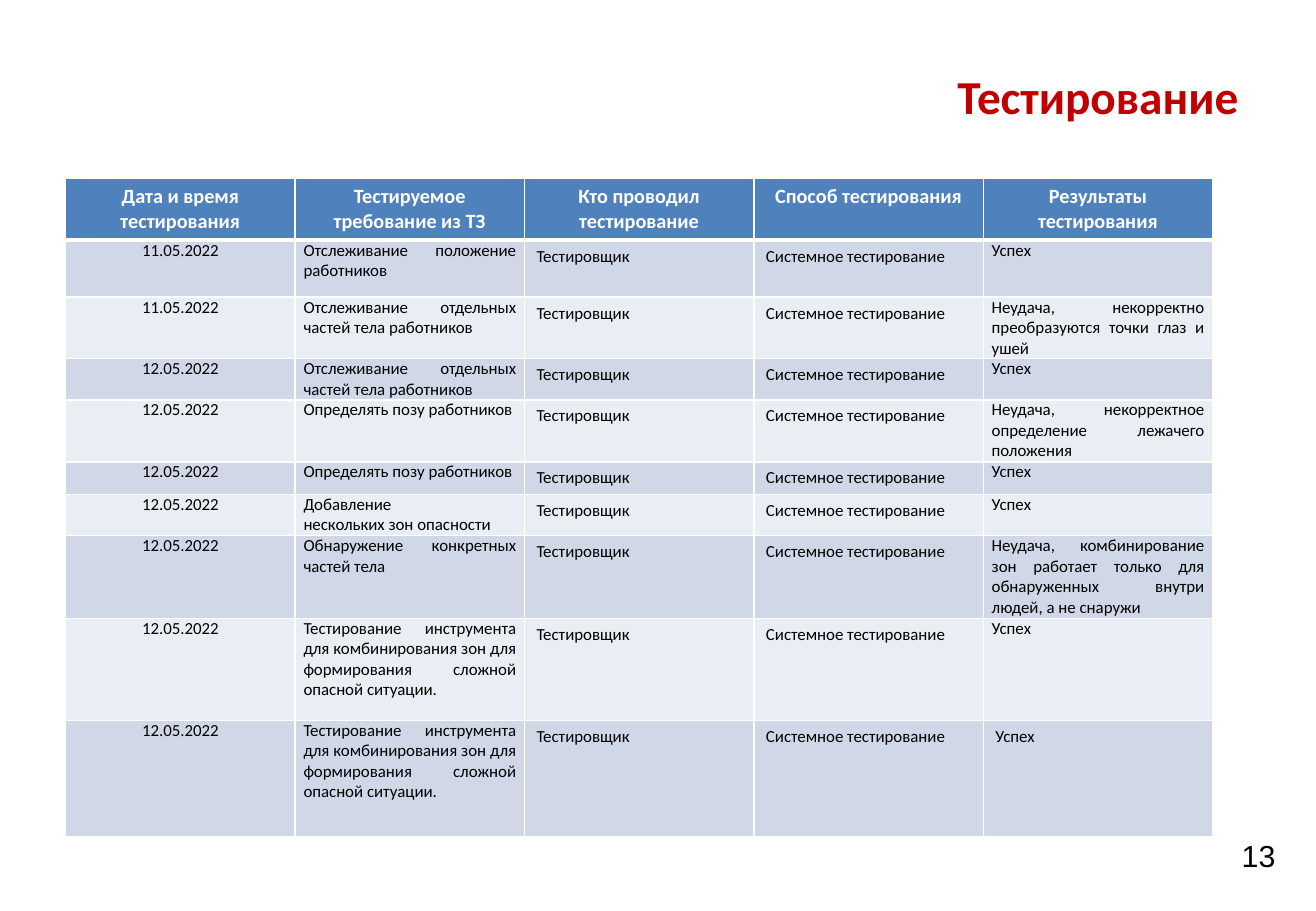
from lxml.etree import SubElement
from pptx import Presentation
from pptx.dml.color import RGBColor
from pptx.enum.text import MSO_ANCHOR, PP_ALIGN as Align
from pptx.oxml.ns import qn
from pptx.util import Inches, Pt

# Content
TITLE = "Тестирование"
PAGE_NUMBER = "13"
HEADERS = ["Дата и время тестирования", "Тестируемое требование из ТЗ",
           "Кто проводил тестирование", "Способ тестирования",
           "Результаты тестирования"]
TESTER, METHOD, SUCCESS = "Тестировщик", "Системное тестирование", "Успех"
BODY_PARTS = "Отслеживание отдельных частей тела работников"
POSE = "Определять позу работников"
ZONE_TOOL = ("Тестирование инструмента для комбинирования зон "
             "для формирования сложной опасной ситуации.")
# Date, requirement, result, row height in inches
TESTS = [
    ("11.05.2022", "Отслеживание положение работников", SUCCESS, 0.47),
    ("11.05.2022", BODY_PARTS,
     "Неудача, некорректно преобразуются точки глаз и ушей", 0.5),
    ("12.05.2022", BODY_PARTS, SUCCESS, 0.34),
    ("12.05.2022", POSE,
     "Неудача, некорректное определение лежачего положения", 0.51),
    ("12.05.2022", POSE, SUCCESS, 0.26),
    ("12.05.2022", "Добавление\nнескольких зон опасности", SUCCESS, 0.34),
    ("12.05.2022", "Обнаружение конкретных частей тела",
     "Неудача, комбинирование зон работает только для обнаруженных "
     "внутри людей, а не снаружи", 0.68),
    ("12.05.2022", ZONE_TOOL, SUCCESS, 0.84),
    ("12.05.2022", ZONE_TOOL, SUCCESS, 0.96),
]

# Format
COLORS = {"title": "C00000", "header": "4F81BD", "odd": "D0D8E8",
          "even": "E9EDF4", "white": "FFFFFF", "text": "000000"}
WIDE, TIGHT = (0.1, 0.05), (0.07, 0)
COLUMN_ALIGN = [Align.CENTER, Align.JUSTIFY, Align.LEFT, Align.LEFT, Align.JUSTIFY]
COLUMN_INSETS = [TIGHT, TIGHT, WIDE, WIDE, TIGHT]
HEADER_HEIGHT = 0.49
LEFT, TABLE_TOP, TABLE_WIDTH = 0.54, 1.47, 9.44


def write(frame, text, size=10, color="text", bold=False, align=Align.LEFT,
          font="Calibri"):
    frame.text = text
    for para in frame.paragraphs:
        para.alignment = align
        for span in para.runs:
            span.font.name = font
            span.font.size = Pt(size)
            span.font.bold = bold
            span.font.color.rgb = RGBColor.from_string(COLORS[color])


def add_borders(cell, bottom):
    properties = cell._tc.get_or_add_tcPr()
    for side, width in (("L", 1), ("R", 1), ("T", 1), ("B", bottom)):
        line = SubElement(properties, qn(f"a:ln{side}"), w=str(Pt(width)))
        fill = SubElement(line, qn("a:solidFill"))
        SubElement(fill, qn("a:srgbClr"), val=COLORS["white"])


def format_cell(cell, text, fill, insets, bottom=1, **text_format):
    cell.margin_left = cell.margin_right = Inches(insets[0])
    cell.margin_top = cell.margin_bottom = Inches(insets[1])
    add_borders(cell, bottom)
    cell.fill.solid()
    cell.fill.fore_color.rgb = RGBColor.from_string(COLORS[fill])
    write(cell.text_frame, text, **text_format)


def main():
    deck = Presentation()
    deck.slide_width, deck.slide_height = Inches(10.83), Inches(7.5)
    page = deck.slides.add_slide(deck.slide_layouts[5])

    # Title
    title = page.shapes.title
    title.left, title.top = Inches(LEFT), Inches(0.48)
    title.width, title.height = Inches(9.75), Inches(0.61)
    title.text_frame.vertical_anchor = MSO_ANCHOR.MIDDLE
    write(title.text_frame, TITLE, size=28, color="title", bold=True,
          align=Align.RIGHT)

    # Test table
    heights = [HEADER_HEIGHT] + [test[-1] for test in TESTS]
    table = page.shapes.add_table(
        len(heights), len(HEADERS), Inches(LEFT), Inches(TABLE_TOP),
        Inches(TABLE_WIDTH), Inches(sum(heights))).table
    for row, height in zip(table.rows, heights):
        row.height = Inches(height)
    for column, header in enumerate(HEADERS):
        format_cell(table.cell(0, column), header, "header", WIDE, bottom=3,
                    size=12, color="white", bold=True, align=Align.CENTER)
    for row, (date, requirement, result, _) in enumerate(TESTS, start=1):
        values = [date, requirement, TESTER, METHOD, result]
        for column, value in enumerate(values):
            last = row == len(TESTS) and column == len(HEADERS) - 1
            format_cell(table.cell(row, column), value,
                        "odd" if row % 2 else "even",
                        WIDE if last else COLUMN_INSETS[column],
                        align=COLUMN_ALIGN[column])

    # Page number
    box = page.shapes.add_textbox(Inches(10.12), Inches(6.84),
                                  Inches(0.48), Inches(0.4))
    box.text_frame.word_wrap = False
    write(box.text_frame, PAGE_NUMBER, size=18, font="Arial")

    deck.save("out.pptx")


if __name__ == "__main__":
    main()
